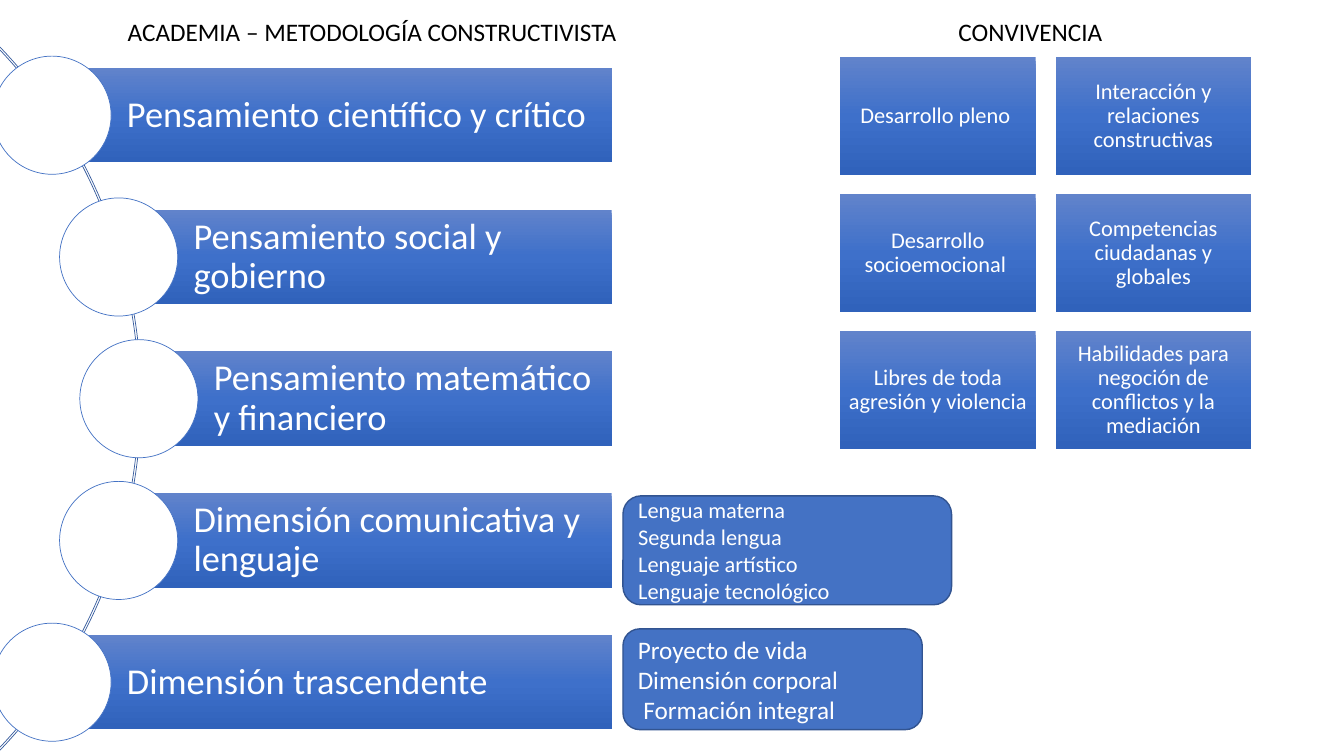
from copy import deepcopy
from dataclasses import dataclass
from math import sqrt

from pptx import Presentation
from pptx import util as u
from pptx.dml.color import RGBColor
from pptx.enum import shapes, text
from pptx.oxml.ns import qn

KIND = shapes.MSO_SHAPE
LEFT, MID = text.PP_ALIGN.LEFT, text.PP_ALIGN.CENTER
HUES = {"white": "FFFFFF", "black": "000000", "blue": "4472C4",
        "edge": "325491", "arc": "365B9D"}
FADE = {0: "6183CB", 0.5: "3E70CA", 1: "3062BB"}

ARC_X, ARC_Y, ARC_R = -262.4, 284.8, 363.2  # centre and outer radius
ORBIT = 361.6  # distance from the arc's centre to each circle's centre
ROW, BAR_H, BAR_END, DISC = 101.25, 67.5, 437, 84.4
TILE_X, TILE_Y, STEP_X, STEP_Y = 600, 41, 154, 97.9
TILE_W, TILE_H = 139.8, 83.8

THEMES = ["Pensamiento científico y crítico", "Pensamiento social y gobierno",
          "Pensamiento matemático y financiero",
          "Dimensión comunicativa y lenguaje", "Dimensión trascendente"]
TILES = ["Desarrollo pleno ", "Interacción y relaciones constructivas",
         "Desarrollo socioemocional ", "Competencias ciudadanas y globales",
         "Libres de toda agresión y violencia",
         "Habilidades para negoción de conflictos y la mediación"]


@dataclass
class Box:
    x: float
    y: float
    w: float
    h: float

    def place(self) -> list:
        return [u.Pt(round(v, 2)) for v in (self.x, self.y, self.w, self.h)]


@dataclass
class Note:
    box: Box
    size: int
    lines: list[str]


NOTES = [
    Note(Box(445, 354.2, 234.7, 77.8), 16,
         ["Lengua materna", "Segunda lengua", "Lenguaje artístico",
          "Lenguaje tecnológico"]),
    Note(Box(445, 449.2, 213.8, 72), 18,
         ["Proyecto de vida", "Dimensión corporal", " Formación integral"]),
]
HEADS = [
    Note(Box(677.5, 7.9, 260.6, 28.8), 18, ["CONVIVENCIA"]),
    Note(Box(84.2, 7.9, 379.4, 28.8), 18,
         ["ACADEMIA – METODOLOGÍA CONSTRUCTIVISTA"]),
]


def hue(name: str) -> RGBColor:
    return RGBColor.from_string(HUES[name])


def draw(slide, kind, box: Box, fill: str = "", line: str = "",
         width: float = 0.5):
    """Add a preset shape; an empty fill or line name means none."""
    shape = slide.shapes.add_shape(kind, *box.place())
    shape.shadow.inherit = False
    if fill:
        shape.fill.solid()
        shape.fill.fore_color.rgb = hue(fill)
    else:
        shape.fill.background()
    if line:
        shape.line.color.rgb = hue(line)
        shape.line.width = u.Pt(width)
    else:
        shape.line.fill.background()
    return shape


def shade(shape) -> None:
    """Fill a shape with the three-stop vertical gradient."""
    shape.fill.gradient()
    stops = shape._element.spPr.find(".//" + qn("a:gsLst"))
    stops.insert(1, deepcopy(stops[0]))
    for stop, (pos, code) in zip(shape.fill.gradient_stops, FADE.items()):
        stop.position = pos
        stop.color.rgb = RGBColor.from_string(code)
    shape.fill.gradient_angle = 270


def write(shape, lines: list[str], size: int, color: str = "white",
          align=LEFT, lead: float = 1.0, **form) -> None:
    """Put lines in a shape; form holds text frame settings."""
    frame = shape.text_frame
    for key, value in ({"word_wrap": True} | form).items():
        setattr(frame, key, value)
    for i, line in enumerate(lines):
        para = frame.add_paragraph() if i else frame.paragraphs[0]
        para.alignment, para.line_spacing = align, lead
        run = para.add_run()
        run.text = line
        look = {"name": "Calibri", "size": u.Pt(size)}
        for key, value in look.items():
            setattr(run.font, key, value)
        run.font.color.rgb = hue(color)


def panel(slide, box: Box, label: str, size: int, align, left: float) -> None:
    """Draw a gradient rectangle with its label."""
    shape = draw(slide, KIND.RECTANGLE, box)
    shade(shape)
    pad = {f"margin_{side}": u.Pt(5) for side in ("top", "right", "bottom")}
    write(shape, [label], size, align=align, lead=0.9, margin_left=u.Pt(left),
          vertical_anchor=text.MSO_ANCHOR.MIDDLE, **pad)


def main() -> None:
    deck = Presentation()
    deck.slide_width, deck.slide_height = u.Pt(960), u.Pt(540)
    slide = deck.slides.add_slide(deck.slide_layouts[6])

    arc = draw(slide, KIND.BLOCK_ARC,
               Box(ARC_X - ARC_R, ARC_Y - ARC_R, 2 * ARC_R, 2 * ARC_R),
               line="arc")
    for i, value in enumerate((189, 27, 0.002)):
        arc.adjustments[i] = value

    for i, theme in enumerate(THEMES):
        drop = (i - len(THEMES) // 2) * ROW
        x, y = ARC_X + sqrt(ORBIT ** 2 - drop ** 2), ARC_Y + drop
        panel(slide, Box(x, y - BAR_H / 2, BAR_END - x, BAR_H), theme, 26,
              LEFT, 53.5)
        draw(slide, KIND.OVAL, Box(x - DISC / 2, y - DISC / 2, DISC, DISC),
             "white", "blue")

    for note in NOTES:
        shape = draw(slide, KIND.ROUNDED_RECTANGLE, note.box, "blue", "edge", 1)
        write(shape, note.lines, note.size,
              vertical_anchor=text.MSO_ANCHOR.MIDDLE)

    for i, tile in enumerate(TILES):
        row, col = divmod(i, 2)
        box = Box(TILE_X + col * STEP_X, TILE_Y + row * STEP_Y, TILE_W, TILE_H)
        panel(slide, box, tile, 16, MID, 5)

    for head in HEADS:
        write(slide.shapes.add_textbox(*head.box.place()), head.lines,
              head.size, "black",
              auto_size=text.MSO_AUTO_SIZE.SHAPE_TO_FIT_TEXT)

    deck.save("out.pptx")


if __name__ == "__main__":
    main()
